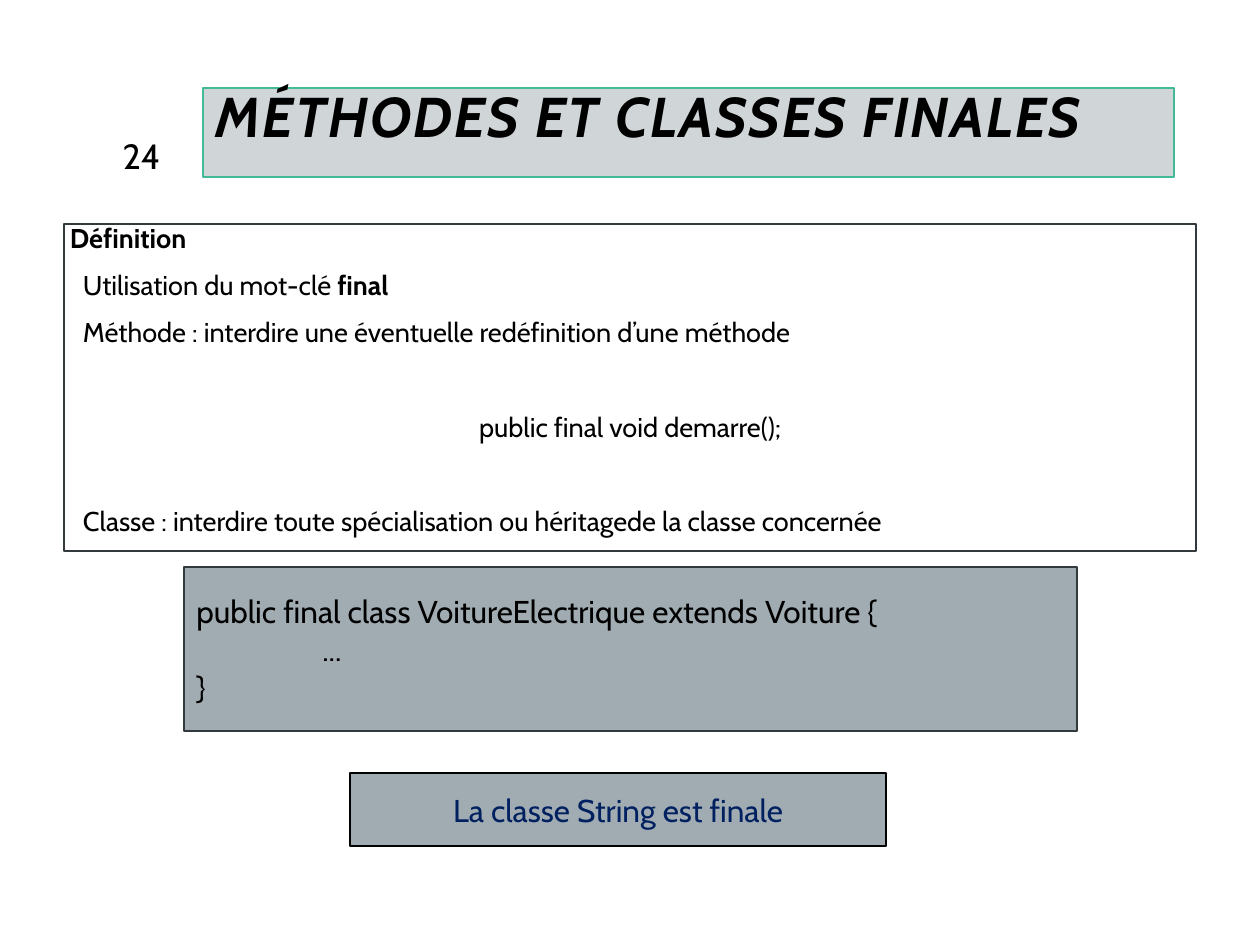
from lxml.etree import SubElement
from pptx import Presentation
from pptx.dml.color import RGBColor
from pptx.enum.shapes import MSO_SHAPE
from pptx.enum.text import MSO_ANCHOR, MSO_AUTO_SIZE, PP_ALIGN
from pptx.oxml.ns import qn
from pptx.util import Emu, Pt

FONT = "Cabin"
BLACK = RGBColor(0x00, 0x00, 0x00)
NAVY = RGBColor(0x00, 0x20, 0x60)
SLATE = RGBColor(0x65, 0x75, 0x7D)
GREY = RGBColor(0xA1, 0xAC, 0xB2)
DARK = RGBColor(0x33, 0x3A, 0x3E)
GREEN = RGBColor(0x42, 0xBA, 0x97)

TITLE = "MÉTHODES ET CLASSES FINALES"
PAGE_NUMBER = "24"
LEFT, CENTER, RIGHT = PP_ALIGN.LEFT, PP_ALIGN.CENTER, PP_ALIGN.RIGHT
LINE_GAP, BLOCK_GAP = 12, 39  # points before a paragraph

# (runs of (text, bold), alignment, indent in px, space before in points)
DEFINITION = [
    ([("Définition", True)], LEFT, 0, LINE_GAP),
    ([("Utilisation du mot-clé ", False), ("final", True)], LEFT, 13, LINE_GAP),
    ([("Méthode : interdire une éventuelle redéfinition d’une méthode", False)],
     LEFT, 13, LINE_GAP),
    ([("public final void demarre();", False)], CENTER, 0, BLOCK_GAP),
    ([("Classe : interdire toute spécialisation ou héritagede la classe concernée", False)],
     LEFT, 13, BLOCK_GAP),
]
# (text, indent in px)
CODE = [
    ("public final class VoitureElectrique extends Voiture {", 0),
    ("...", 126),
    ("}", 0),
]
CONCLUSION = "La classe String est finale"


def px(value):
    return Emu(round(value * 914400 / 126))


def place(shape, left, top, width, height):
    shape.left, shape.top = px(left), px(top)
    shape.width, shape.height = px(width), px(height)


def set_line(shape, color, width):
    shape.line.color.rgb = color
    shape.line.width = Pt(width)


def set_frame(shape, anchor):
    frame = shape.text_frame
    frame.word_wrap = True
    frame.auto_size = MSO_AUTO_SIZE.NONE
    frame.vertical_anchor = anchor
    return frame


def add_box(slide, box, line_color, line_width, fill=None):
    shape = slide.shapes.add_shape(MSO_SHAPE.RECTANGLE, *map(px, box))
    shape.shadow.inherit = False
    if fill is None:
        shape.fill.background()
    else:
        shape.fill.solid()
        shape.fill.fore_color.rgb = fill
    set_line(shape, line_color, line_width)
    return shape


def next_paragraph(frame, index, alignment=LEFT, indent=0):
    paragraph = frame.add_paragraph() if index else frame.paragraphs[0]
    paragraph.alignment = alignment
    if indent:
        paragraph._p.get_or_add_pPr().set("marL", str(px(indent)))
    return paragraph


def add_run(paragraph, text, size, color=BLACK, bold=False):
    run = paragraph.add_run()
    run.text = text
    run.font.name = FONT
    run.font.size = Pt(size)
    run.font.bold = bold
    run.font.color.rgb = color
    return run


def add_title(slide):
    title = slide.shapes.title
    place(title, 203, 88, 971, 89)
    title.fill.solid()
    title.fill.fore_color.rgb = SLATE
    color = title.fill._xPr.find(qn("a:solidFill"))[0]
    SubElement(color, qn("a:alpha")).set("val", "30000")
    set_line(title, GREEN, 1.25)
    paragraph = next_paragraph(set_frame(title, MSO_ANCHOR.TOP), 0)
    paragraph.line_spacing = 0.8
    run = add_run(paragraph, TITLE, 32, bold=True)
    run.font.italic = True
    run.font._element.set("spc", "100")


def add_definition(slide):
    frame = set_frame(add_box(slide, (64, 224, 1132, 327), DARK, 0.75), MSO_ANCHOR.TOP)
    frame.margin_left = frame.margin_right = px(6)
    frame.margin_top = frame.margin_bottom = px(6)
    for index, (runs, alignment, indent, gap) in enumerate(DEFINITION):
        paragraph = next_paragraph(frame, index, alignment, indent)
        paragraph.line_spacing = 0.7
        paragraph.space_before = Pt(gap)
        paragraph.space_after = Pt(2)
        for text, bold in runs:
            add_run(paragraph, text, 15.5, bold=bold)


def add_code(slide):
    frame = set_frame(add_box(slide, (184, 567, 893, 164), DARK, 1.5, GREY),
                      MSO_ANCHOR.MIDDLE)
    for index, (text, indent) in enumerate(CODE):
        add_run(next_paragraph(frame, index, indent=indent), text, 18)


def add_conclusion(slide):
    frame = set_frame(add_box(slide, (350, 773, 536, 73), BLACK, 0.75, GREY),
                      MSO_ANCHOR.MIDDLE)
    add_run(next_paragraph(frame, 0, CENTER), CONCLUSION, 18, NAVY)


def add_page_number(slide):
    text_box = slide.shapes.add_textbox(*map(px, (92, 130, 81, 50)))
    frame = set_frame(text_box, MSO_ANCHOR.MIDDLE)
    add_run(next_paragraph(frame, 0, RIGHT), PAGE_NUMBER, 20)


def main():
    presentation = Presentation()
    presentation.slide_width, presentation.slide_height = px(1260), px(945)
    slide = presentation.slides.add_slide(presentation.slide_layouts[5])
    add_title(slide)
    add_definition(slide)
    add_conclusion(slide)
    add_code(slide)
    add_page_number(slide)
    presentation.save("out.pptx")


if __name__ == "__main__":
    main()
